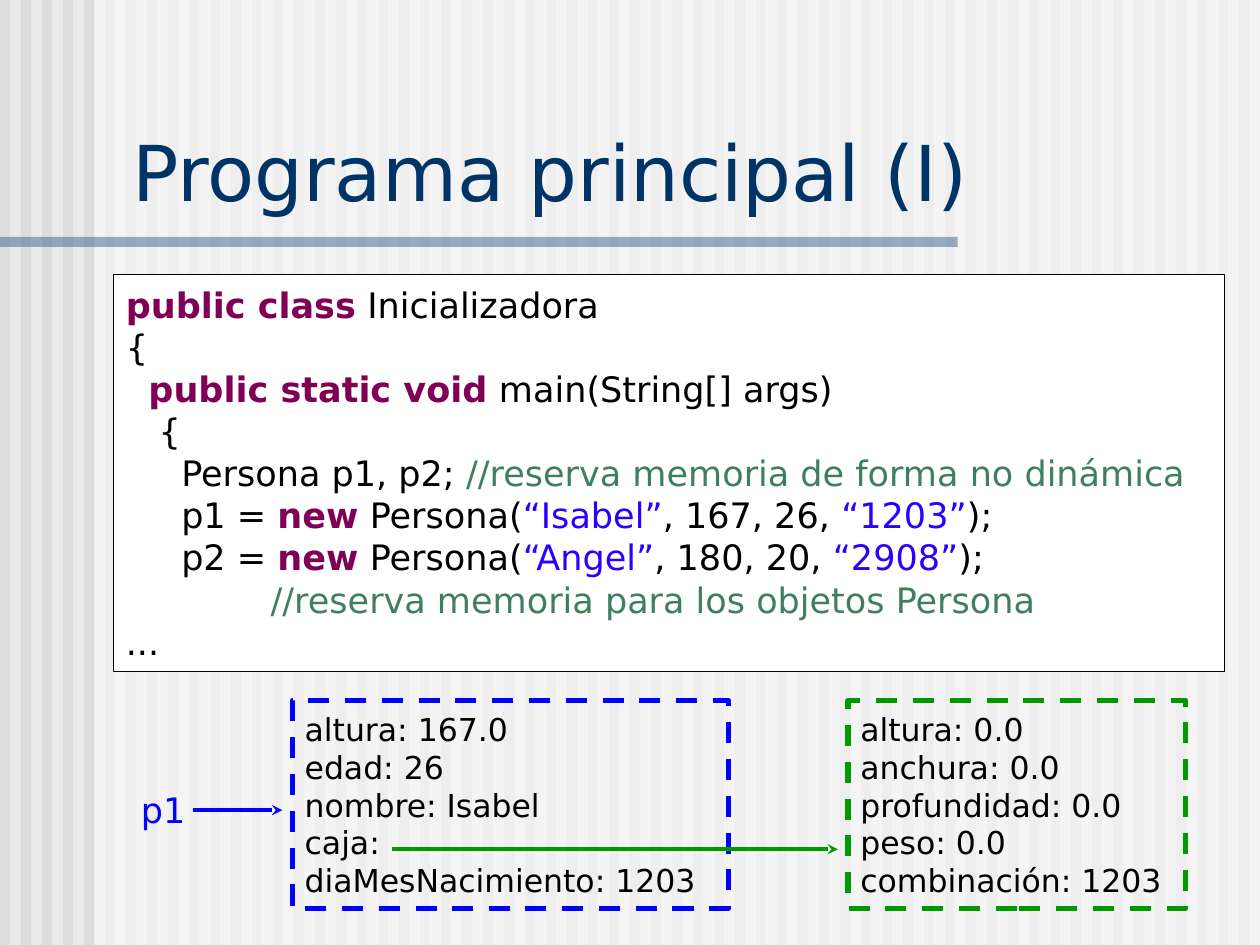
"""Build the slide "Programa principal (I)" with its code listing and object diagram."""
from lxml import etree
from pptx import Presentation
from pptx import util as u
from pptx.dml import color
from pptx.enum import dml, shapes, text
from pptx.oxml import ns

Inches = u.Inches
FONT = "DejaVu Sans"
COLORS = {
    "background": "EAEAEA", "stripe": "DDDDDD", "white": "FFFFFF", "rule": "336699",
    "title": "003366", "plain": "000000", "keyword": "7F0055", "comment": "3F7F5F",
    "string": "2A00FF", "person": "0000FF", "case": "009900",
}


def rgb(name):
    return color.RGBColor.from_string(COLORS[name])


def add_box(area, lines, size, fill=None, alpha=None, line=None, width=0.75, dash=None):
    box = page.shapes.add_shape(shapes.MSO_SHAPE.RECTANGLE, *map(Inches, area))
    box.shadow.inherit = False
    if fill:
        box.fill.solid()
        box.fill.fore_color.rgb = rgb(fill)
    else:
        box.fill.background()
    if alpha:
        tint = box.element.spPr.find(".//" + ns.qn("a:srgbClr"))
        etree.SubElement(tint, ns.qn("a:alpha")).set("val", str(alpha * 1000))
    if line:
        box.line.color.rgb = rgb(line)
        box.line.width = u.Pt(width)
        box.line.dash_style = dash
    else:
        box.line.fill.background()
    frame = box.text_frame
    frame.word_wrap = True
    frame.vertical_anchor = text.MSO_ANCHOR.MIDDLE
    for index, (indent, spans) in enumerate(lines):
        para = frame.paragraphs[0] if index == 0 else frame.add_paragraph()
        para.alignment = text.PP_ALIGN.LEFT
        para._p.get_or_add_pPr().set("marL", str(Inches(indent)))
        for words, style in spans:
            span = para.add_run()
            span.text = words
            span.font.name = FONT
            span.font.size = u.Pt(size)
            span.font.bold = style == "keyword"
            span.font.color.rgb = rgb(style)
    return box


deck = Presentation()
deck.slide_width, deck.slide_height = Inches(10), Inches(7.5)
page = deck.slides.add_slide(deck.slide_layouts[5])
page.background.fill.solid()
page.background.fill.fore_color.rgb = rgb("background")

for column in range(60):
    add_box((column / 6, 0, 0.08, 7.5), [], 18, fill="stripe")
add_box((0.75, 0, 9.25, 7.5), [], 18, fill="white", alpha=50)
add_box((0, 1.88, 7.6, 0.08), [], 18, fill="rule", alpha=50)

title = page.shapes.title
title.element.getparent().append(title.element)
title.left, title.top, title.width, title.height = map(Inches, (0.95, 0.94, 8.93, 0.83))
title.text_frame.auto_size = text.MSO_AUTO_SIZE.NONE
title.text_frame.vertical_anchor = text.MSO_ANCHOR.BOTTOM
para = title.text_frame.paragraphs[0]
para.alignment = text.PP_ALIGN.LEFT
span = para.add_run()
span.text = "Programa principal (I)"
span.font.name = FONT
span.font.size = u.Pt(44)
span.font.color.rgb = rgb("title")

code = [
    (0, [("public class", "keyword"), (" Inicializadora", "plain")]),
    (0, [("{", "plain")]),
    (0.18, [("public static void", "keyword"), (" main(String[] args)", "plain")]),
    (0.26, [("{", "plain")]),
    (0.44, [("Persona p1, p2; ", "plain"),
            ("//reserva memoria de forma no dinámica", "comment")]),
]
for variable, name, numbers, birthday in [
    ("p1", "“Isabel”", "167, 26", "“1203”"),
    ("p2", "“Angel”", "180, 20", "“2908”"),
]:
    code.append((0.44, [
        (f"{variable} = ", "plain"), ("new", "keyword"), (" Persona(", "plain"),
        (name, "string"), (f", {numbers}, ", "plain"), (birthday, "string"), (");", "plain"),
    ]))
code += [
    (1.15, [("//reserva memoria para los objetos Persona", "comment")]),
    (0, [("...", "plain")]),
]
listing = add_box((0.9, 2.18, 8.82, 3.15), code, 20, fill="white", line="plain")
for para in listing.text_frame.paragraphs[-2:]:
    para.line_spacing = 0.8
    para.space_before = u.Pt(5)

for left, width, line, fields in [
    (2.32, 3.46, "person", ["altura: 167.0", "edad: 26", "nombre: Isabel", "caja:",
                            "diaMesNacimiento: 1203"]),
    (6.73, 2.68, "case", ["altura: 0.0", "anchura: 0.0", "profundidad: 0.0", "peso: 0.0",
                          "combinación: 1203"]),
]:
    add_box((left, 5.56, width, 1.65), [(0, [(field, "plain")]) for field in fields], 18,
            line=line, width=3, dash=dml.MSO_LINE.DASH)

label = add_box((0.9, 6.19, 0.79, 0.47), [(0, [("p1", "person")])], 20)
label.text_frame.paragraphs[0].alignment = text.PP_ALIGN.CENTER

for start, end, height, line in [(1.53, 2.24, 6.43, "person"), (3.11, 6.65, 6.74, "case")]:
    arrow = page.shapes.add_connector(
        shapes.MSO_CONNECTOR.STRAIGHT, *map(Inches, (start, height, end, height)))
    arrow.line.color.rgb = rgb(line)
    arrow.line.width = u.Pt(2)
    etree.SubElement(arrow.line._get_or_add_ln(), ns.qn("a:tailEnd")).set("type", "stealth")
    etree.SubElement(arrow.element.spPr, ns.qn("a:effectLst"))

deck.save("out.pptx")
